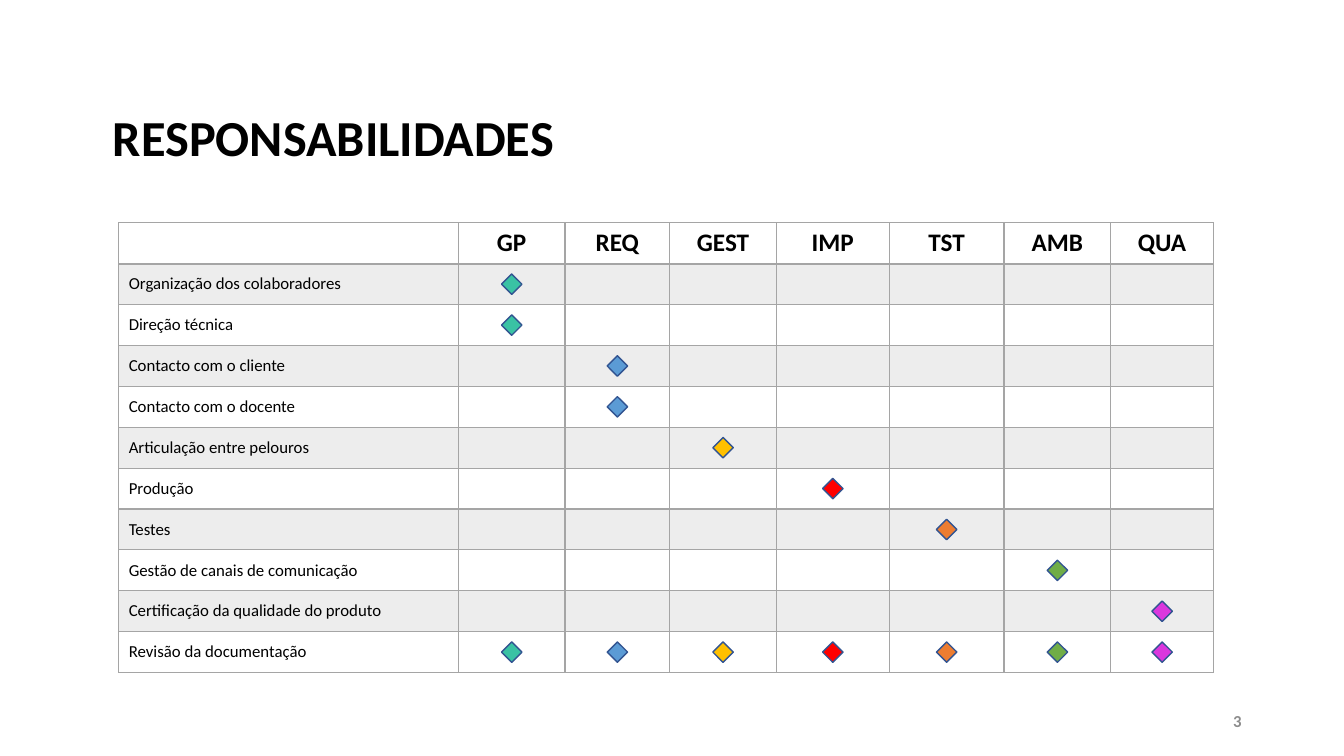
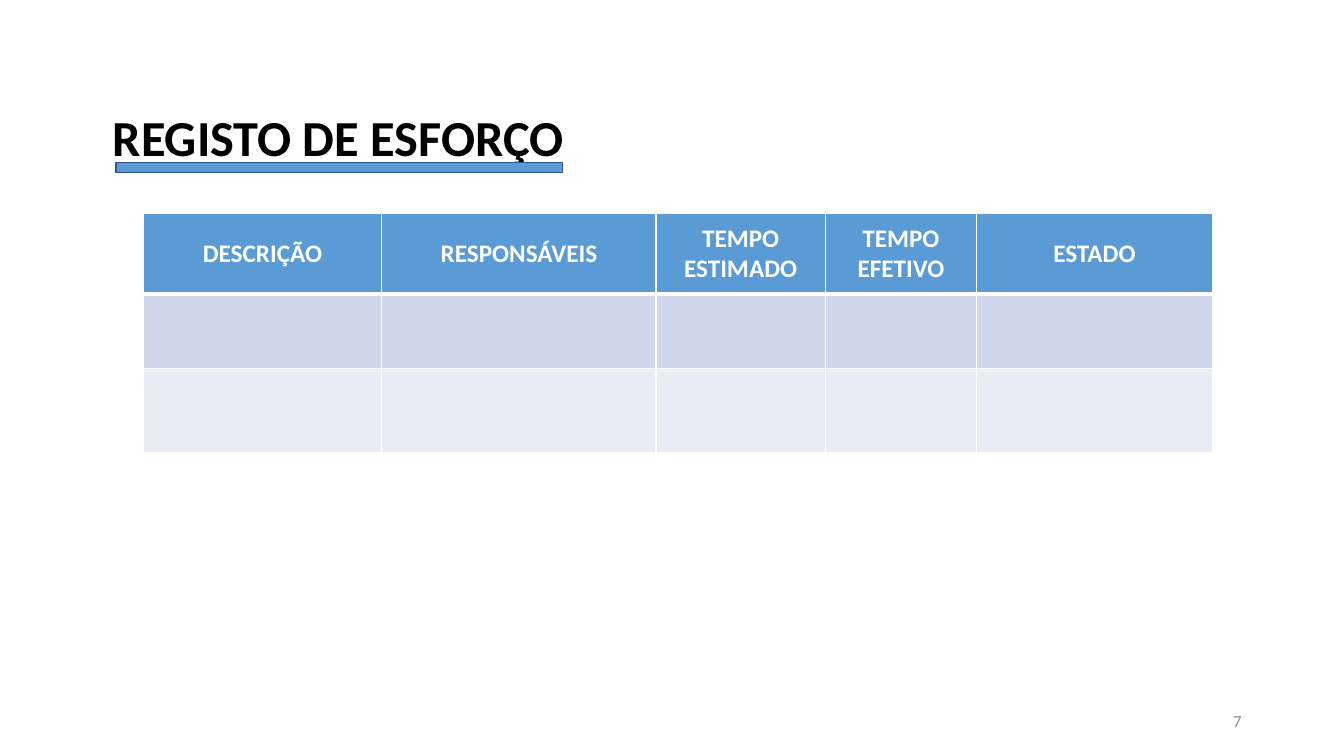
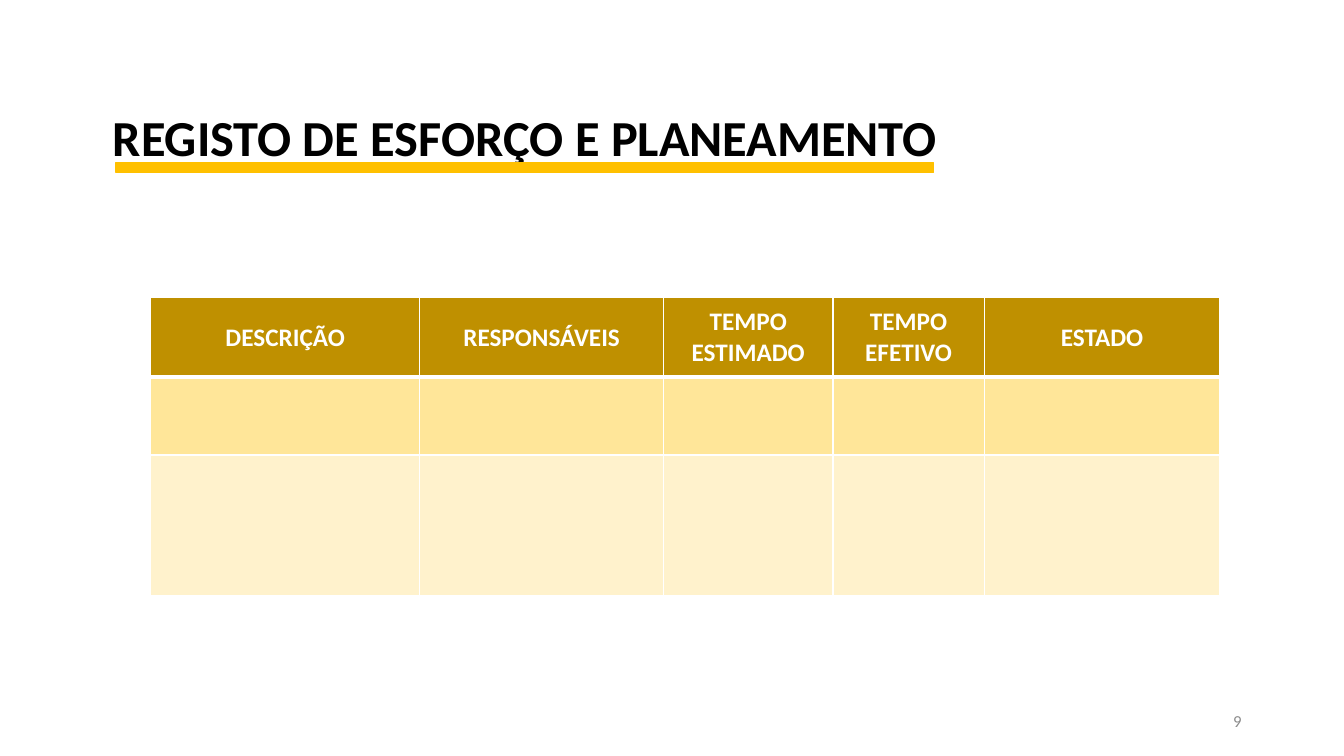
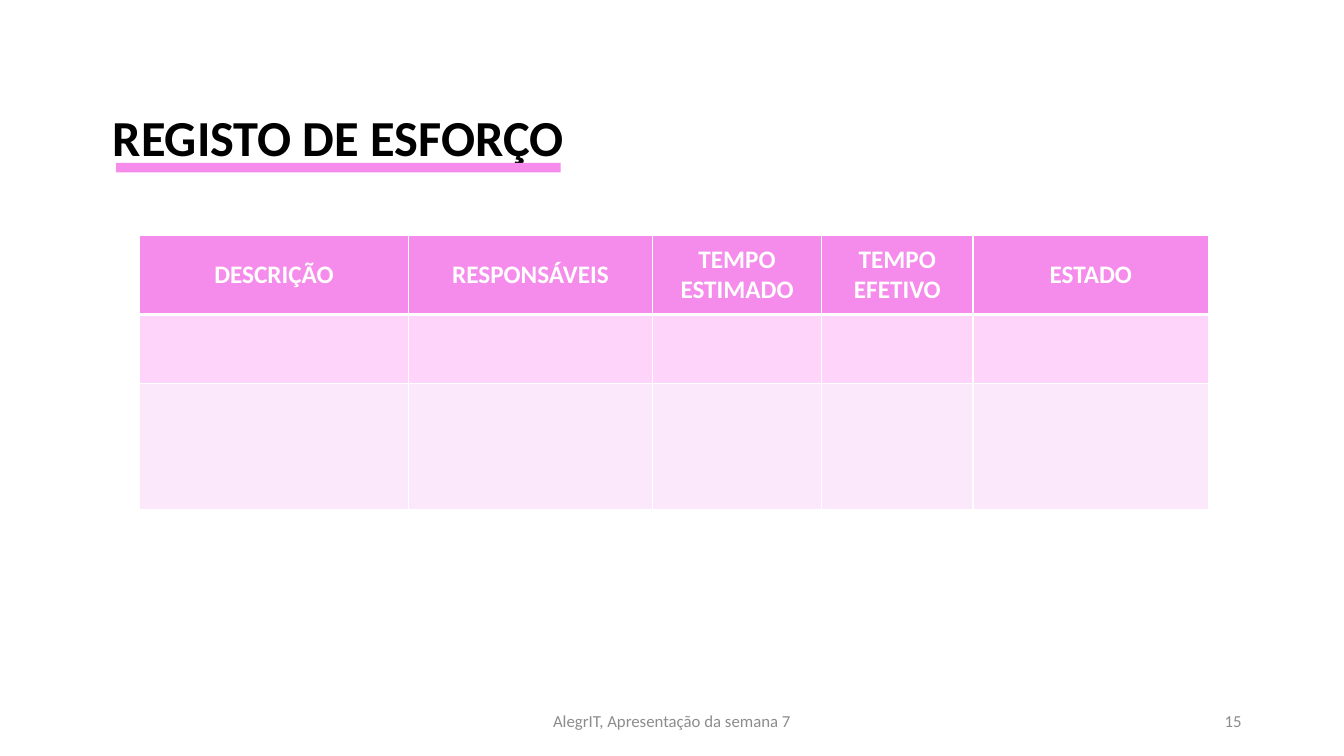
from lxml import etree
from pptx import Presentation
from pptx.dml.color import RGBColor
from pptx.enum.shapes import MSO_SHAPE
from pptx.enum.text import MSO_ANCHOR, MSO_AUTO_SIZE, PP_ALIGN
from pptx.oxml.ns import qn
from pptx.util import Pt

RECT, DIAMOND = MSO_SHAPE.RECTANGLE, MSO_SHAPE.DIAMOND
LEFT, CENTER, RIGHT = PP_ALIGN.LEFT, PP_ALIGN.CENTER, PP_ALIGN.RIGHT
MIDDLE = MSO_ANCHOR.MIDDLE
NO_FIT = MSO_AUTO_SIZE.NONE
TITLE_ONLY = 5

FONT = "Calibri"
COLORS = {
    "black": "000000", "white": "FFFFFF", "footer": "8C8C8C",
    "grid": "A5A5A5", "band": "EDEDED", "outline": "325491",
    "teal": "3AC2A4", "blue": "5B9BD5", "yellow": "FFC000", "red": "FF0000",
    "orange": "ED7D31", "green": "70AD47", "magenta": "DB37DE",
    "blue_mid": "CFD5EA", "blue_light": "E9EBF5",
    "gold": "BF9000", "gold_mid": "FFE699", "gold_light": "FFF2CC",
    "pink": "F58CEC", "pink_mid": "FFD4FB", "pink_light": "FCE8FB",
}

# Responsibility matrix: roles with column width and marker colour
ROLES = [
    ("GP", 76.2, "teal"), ("REQ", 74.8, "blue"), ("GEST", 76.2, "yellow"),
    ("IMP", 80.6, "red"), ("TST", 82, "orange"), ("AMB", 76.2, "green"),
    ("QUA", 73.4, "magenta"),
]
ALL_ROLES = [role for role, _, _ in ROLES]
TASKS = [
    ("Organização dos colaboradores", ["GP"]),
    ("Direção técnica", ["GP"]),
    ("Contacto com o cliente", ["REQ"]),
    ("Contacto com o docente", ["REQ"]),
    ("Articulação entre pelouros", ["GEST"]),
    ("Produção", ["IMP"]),
    ("Testes", ["TST"]),
    ("Gestão de canais de comunicação", ["AMB"]),
    ("Certificação da qualidade do produto", ["QUA"]),
    ("Revisão da documentação", ALL_ROLES),
]
TASK_W, ROW_H = 242.6, 29.2
MATRIX_X, MATRIX_Y = 84.8, 159.2
MARKER = 14.6

EFFORT_HEADERS = ["DESCRIÇÃO", "RESPONSÁVEIS", "TEMPO ESTIMADO",
                  "TEMPO EFETIVO", "ESTADO"]
EFFORT_TAIL = [121, 108, 168.5]


def rgb(name):
    return RGBColor.from_string(COLORS[name])


def style(p, size, color, bold=False, align=LEFT):
    p.alignment = align
    p.font.name = FONT
    p.font.size = Pt(size)
    p.font.bold = bold
    p.font.color.rgb = rgb(color)


def add_footer(s, text, x, w, align, bold=False):
    tf = s.shapes.add_textbox(Pt(x), Pt(500.5), Pt(w), Pt(28.8)).text_frame
    tf.word_wrap = True
    tf.vertical_anchor = MIDDLE
    tf.text = text
    style(tf.paragraphs[0], 12, "footer", bold, align)


def add_slide(prs, title, number, bold_number=False):
    s = prs.slides.add_slide(prs.slide_layouts[TITLE_ONLY])
    sp = s.shapes.title
    sp.left, sp.top, sp.width, sp.height = Pt(73.4), Pt(72), Pt(714), Pt(51)
    tf = sp.text_frame
    tf.text = title
    tf.auto_size = NO_FIT
    style(tf.paragraphs[0], 36, "black", True)
    add_footer(s, number, 678, 216, RIGHT, bold_number)
    return s


def add_shape(s, kind, x, y, w, h, fill, line=None):
    sp = s.shapes.add_shape(kind, Pt(x), Pt(y), Pt(w), Pt(h))
    sp.shadow.inherit = False
    sp.fill.solid()
    sp.fill.fore_color.rgb = rgb(fill)
    if line:
        sp.line.color.rgb = rgb(line)
        sp.line.width = Pt(1)
    else:
        sp.line.fill.background()


def set_borders(cell, color, bottom):
    tcPr = cell._tc.get_or_add_tcPr()
    for side, width in (("L", 1), ("R", 1), ("T", 1), ("B", bottom)):
        ln = etree.SubElement(tcPr, qn("a:ln" + side), w=str(Pt(width)))
        fill = etree.SubElement(ln, qn("a:solidFill"))
        etree.SubElement(fill, qn("a:srgbClr"), val=COLORS[color])


def add_table(s, x, y, cols, rows, fills, border, header_line):
    """Add a table with one fill per row and a heavier line below the header."""
    table = s.shapes.add_table(len(rows), len(cols), Pt(x), Pt(y),
                               Pt(sum(cols)), Pt(sum(rows))).table
    table.first_row = table.horz_banding = False
    for column, width in zip(table.columns, cols):
        column.width = Pt(width)
    for i, (row, height) in enumerate(zip(table.rows, rows)):
        row.height = Pt(height)
        for cell in row.cells:
            set_borders(cell, border, 1 if i else header_line)
            cell.fill.solid()
            cell.fill.fore_color.rgb = rgb(fills[i])
    return table


def write_cell(cell, text, size, color, bold=False, align=LEFT):
    cell.text = text
    cell.vertical_anchor = MIDDLE
    style(cell.text_frame.paragraphs[0], size, color, bold, align)


def add_matrix(s):
    cols = [TASK_W] + [width for _, width, _ in ROLES]
    rows = [ROW_H] * (len(TASKS) + 1)
    fills = ["band" if i % 2 else "white" for i in range(len(rows))]
    table = add_table(s, MATRIX_X, MATRIX_Y, cols, rows, fills, "grid", 2)
    for j, role in enumerate(ALL_ROLES, 1):
        write_cell(table.cell(0, j), role, 18, "black", True, CENTER)
    for i, (task, owners) in enumerate(TASKS, 1):
        write_cell(table.cell(i, 0), task, 12, "black")
        # Markers centred in the cells of the responsible roles
        y = MATRIX_Y + (i + 0.5) * ROW_H - MARKER / 2
        x = MATRIX_X + TASK_W
        for role, width, color in ROLES:
            if role in owners:
                add_shape(s, DIAMOND, x + (width - MARKER) / 2, y,
                          MARKER, MARKER, color, "outline")
            x += width


def add_effort_table(s, x, y, first_cols, rows, fills):
    table = add_table(s, x, y, first_cols + EFFORT_TAIL, rows, fills, "white", 3)
    for cell, text in zip(table.rows[0].cells, EFFORT_HEADERS):
        cell.margin_left = cell.margin_right = Pt(13)
        cell.margin_top = cell.margin_bottom = Pt(6.5)
        write_cell(cell, text, 18, "white", True, CENTER)


def add_underline(s, width, fill, line=None):
    add_shape(s, RECT, 83, 116.3, width, 6.8, fill, line)


def main():
    prs = Presentation()
    prs.slide_width, prs.slide_height = Pt(960), Pt(540)

    # Responsibilities
    s = add_slide(prs, "RESPONSABILIDADES", "3", True)
    add_matrix(s)

    # Effort log, blue
    s = add_slide(prs, "REGISTO DE ESFORÇO", "7")
    add_underline(s, 319, "blue", "outline")
    add_effort_table(s, 102.2, 152.8, [170.6, 195.8], [57, 53.3, 60.5],
                     ["blue", "blue_mid", "blue_light"])

    # Effort log and planning, gold
    s = add_slide(prs, "REGISTO DE ESFORÇO E PLANEAMENTO", "9")
    add_underline(s, 584, "yellow", "yellow")
    add_effort_table(s, 107.6, 212.6, [192.2, 174.2], [56.8, 55.6, 100.6],
                     ["gold", "gold_mid", "gold_light"])

    # Effort log, pink
    s = add_slide(prs, "REGISTO DE ESFORÇO", "15")
    add_underline(s, 317.5, "pink")
    add_effort_table(s, 99.6, 167.8, [192.2, 174.2], [56.8, 49.4, 90],
                     ["pink", "pink_mid", "pink_light"])
    add_footer(s, "AlegrIT, Apresentação da semana 7", 318, 324, CENTER)

    prs.save("out.pptx")


if __name__ == "__main__":
    main()
